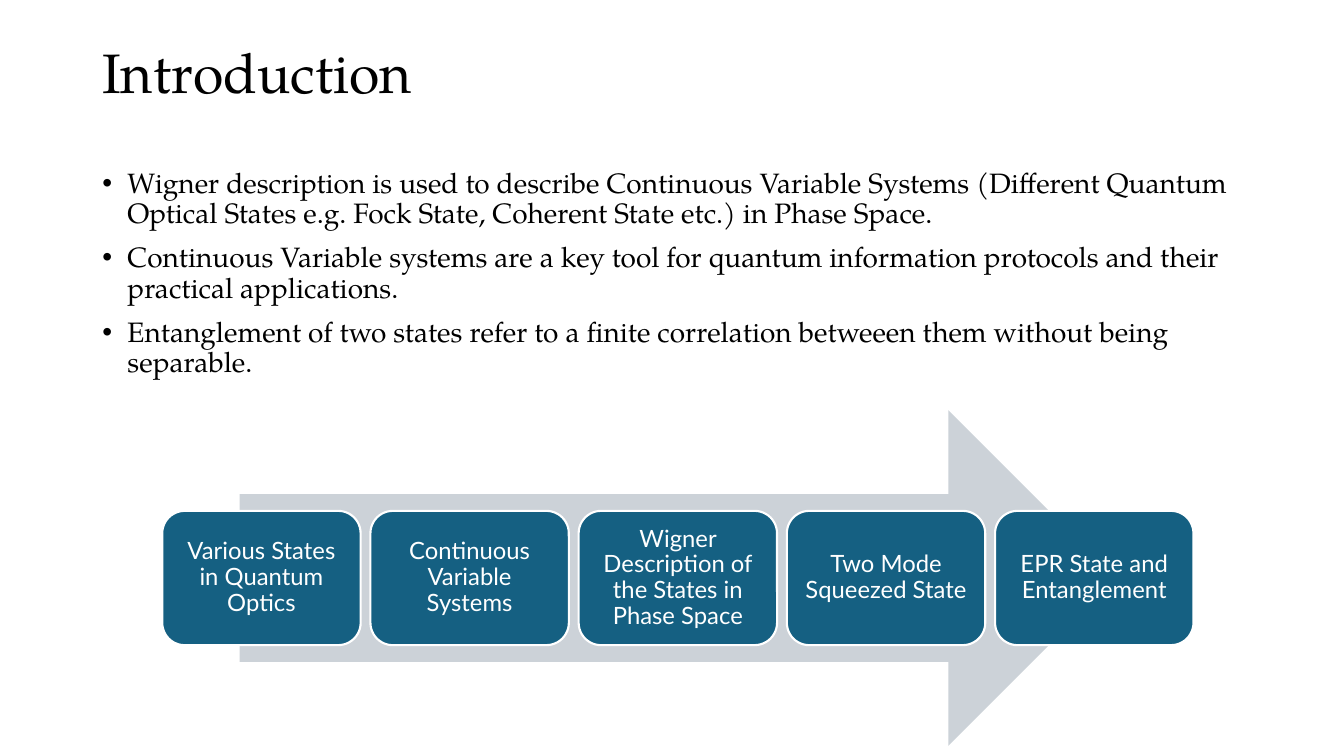
import pptx
import pptx.dml.color
import pptx.enum.shapes
import pptx.enum.text
import pptx.oxml
import pptx.oxml.ns
import pptx.util

Pt = pptx.util.Pt
SHAPES = pptx.enum.shapes.MSO_SHAPE
ANCHOR = pptx.enum.text.MSO_ANCHOR
ALIGN = pptx.enum.text.PP_ALIGN

COLORS = {"ink": "000000", "arrow": "CCD2D8", "step": "156082", "white": "FFFFFF"}
SERIF, SANS = "TeX Gyre Pagella", "Lato"

POINTS = [
    "Wigner description is used to describe Continuous Variable Systems "
    "(Different Quantum Optical States e.g. Fock State, Coherent State etc.) in Phase Space.",
    "Continuous Variable systems are a key tool for quantum information protocols "
    "and their practical applications.",
    "Entanglement of two states refer to a finite correlation betweeen them "
    "without being separable.",
]
STEPS = [
    "Various States in Quantum Optics",
    "Continuous Variable Systems",
    "Wigner Description of the States in Phase Space",
    "Two Mode Squeezed State",
    "EPR State and Entanglement",
]


def color(name):
    return pptx.dml.color.RGBColor.from_string(COLORS[name])


def write(paragraph, text, size, face, ink):
    paragraph.line_spacing = 0.9
    run = paragraph.add_run()
    run.text = text
    run.font.size = Pt(size)
    run.font.name = face
    run.font.color.rgb = color(ink)


def add_bullet(paragraph):
    properties = paragraph._p.get_or_add_pPr()
    properties.set("marL", str(Pt(18)))
    properties.set("indent", str(-Pt(18)))
    namespaces = pptx.oxml.ns.nsdecls("a")
    for xml in (f'<a:buFont {namespaces} typeface="Arial"/>',
                f'<a:buChar {namespaces} char="•"/>'):
        properties.append(pptx.oxml.parse_xml(xml))


def add_block(slide, kind, left, top, width, height, fill):
    block = slide.shapes.add_shape(kind, Pt(left), Pt(top), Pt(width), Pt(height))
    block.shadow.inherit = False
    block.fill.solid()
    block.fill.fore_color.rgb = color(fill)
    return block


def add_title(slide, left, top, width, height):
    title = slide.shapes.add_textbox(Pt(left), Pt(top), Pt(width), Pt(height)).text_frame
    title.word_wrap = True
    title.vertical_anchor = ANCHOR.MIDDLE
    write(title.paragraphs[0], "Introduction", 39.6, SERIF, "ink")


def add_points(slide, left, top, width, height):
    body = slide.shapes.add_textbox(Pt(left), Pt(top), Pt(width), Pt(height)).text_frame
    body.word_wrap = True
    for index, point in enumerate(POINTS):
        paragraph = body.add_paragraph() if index else body.paragraphs[0]
        add_bullet(paragraph)
        paragraph.space_before = Pt(10 if index else 0)
        write(paragraph, point, 20, SERIF, "ink")


def add_process(slide, left, top, width, height):
    arrow_width = width * 0.85
    arrow = add_block(slide, SHAPES.RIGHT_ARROW, left + (width - arrow_width) / 2, top,
                      arrow_width, height, "arrow")
    arrow.line.fill.background()

    gap = 7
    step_width = (width - gap * (len(STEPS) - 1)) / len(STEPS)
    step_height = height * 0.4
    step_top = top + (height - step_height) / 2
    for index, label in enumerate(STEPS):
        step = add_block(slide, SHAPES.ROUNDED_RECTANGLE, left + index * (step_width + gap),
                         step_top, step_width, step_height, "step")
        step.line.color.rgb = color("white")
        step.line.width = Pt(1.5)
        frame = step.text_frame
        frame.word_wrap = True
        frame.vertical_anchor = ANCHOR.MIDDLE
        frame.margin_left = frame.margin_right = Pt(5)
        frame.margin_top = frame.margin_bottom = Pt(5)
        frame.paragraphs[0].alignment = ALIGN.CENTER
        write(frame.paragraphs[0], label, 17, SANS, "white")


def main():
    deck = pptx.Presentation()
    deck.slide_width, deck.slide_height = Pt(960), Pt(540)
    slide = deck.slides.add_slide(deck.slide_layouts[6])
    add_title(slide, 66, 28.8, 828, 50.4)
    add_points(slide, 66, 117.4, 828, 175.7)
    add_process(slide, 115.9, 293, 736.6, 239.8)
    deck.save("out.pptx")


if __name__ == "__main__":
    main()
